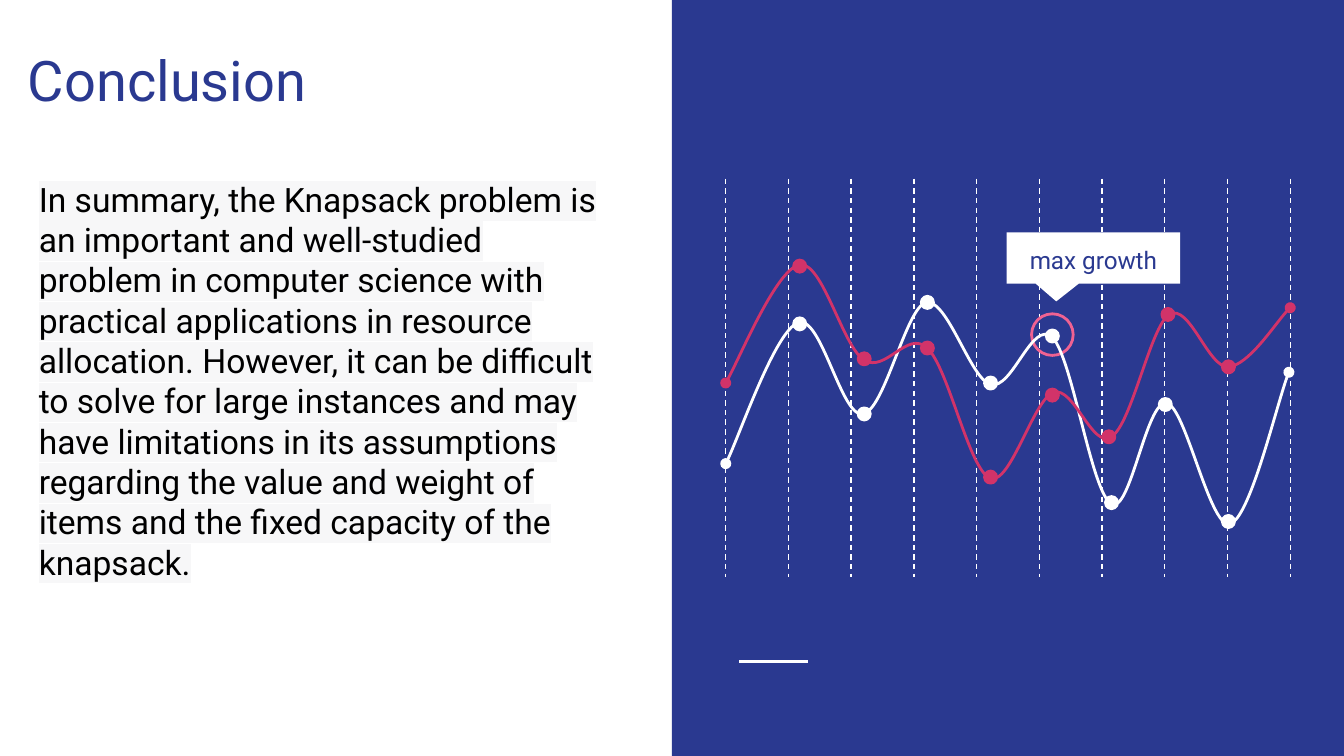
from lxml import etree
from pptx import Presentation
from pptx.dml.color import RGBColor
from pptx.enum import dml, shapes, text
from pptx.oxml import ns
from pptx.util import Inches, Pt

NAVY = RGBColor(0x2A, 0x39, 0x90)
WHITE = RGBColor(0xFF, 0xFF, 0xFF)
BLACK = RGBColor(0, 0, 0)
RED = RGBColor(0xD2, 0x33, 0x69)
PINK = RGBColor(0xF0, 0x62, 0x92)
FONT = "Roboto"
WIDE, HIGH = 10, 5.625

HEAD = "Conclusion"
BODY = ("In summary, the Knapsack problem is an important and well-studied "
        "problem in computer science with practical applications in resource "
        "allocation. However, it can be difficult to solve for large instances "
        "and may have limitations in its assumptions regarding the value and "
        "weight of items and the fixed capacity of the knapsack.")
LABEL = "max growth"

# Each curve: start, then two handles and an end per segment; dot centres
LOW = {
    "color": WHITE,
    "start": (5.4, 3.45),
    "curve": [
        (5.49, 3.28), (5.77, 2.46), (5.94, 2.4),
        (6.11, 2.34), (6.26, 3.11), (6.42, 3.08),
        (6.58, 3.06), (6.74, 2.29), (6.89, 2.25),
        (7.05, 2.22), (7.22, 2.82), (7.37, 2.86),
        (7.53, 2.91), (7.68, 2.37), (7.83, 2.51),
        (7.98, 2.66), (8.12, 3.67), (8.27, 3.75),
        (8.41, 3.83), (8.53, 2.97), (8.68, 3),
        (8.82, 3.02), (9, 3.93), (9.15, 3.9),
        (9.3, 3.86), (9.51, 2.96), (9.59, 2.77)],
    "dots": [(5.95, 2.41), (6.43, 3.08), (6.9, 2.25), (7.37, 2.85),
             (7.83, 2.5), (8.27, 3.74), (8.67, 3.01), (9.14, 3.88)],
}
HIGHER = {
    "color": RED,
    "start": (5.4, 2.85),
    "curve": [
        (5.49, 2.7), (5.78, 2), (5.95, 1.97),
        (6.12, 1.94), (6.27, 2.58), (6.43, 2.68),
        (6.59, 2.78), (6.75, 2.45), (6.9, 2.59),
        (7.06, 2.74), (7.21, 3.5), (7.37, 3.56),
        (7.52, 3.61), (7.69, 2.97), (7.84, 2.92),
        (7.99, 2.87), (8.13, 3.35), (8.27, 3.25),
        (8.42, 3.16), (8.56, 2.43), (8.7, 2.34),
        (8.85, 2.25), (8.99, 2.74), (9.14, 2.73),
        (9.29, 2.72), (9.52, 2.36), (9.6, 2.29)],
    "dots": [(5.95, 1.98), (6.43, 2.67), (6.9, 2.59), (7.37, 3.55),
             (7.83, 2.94), (8.25, 3.25), (8.69, 2.34), (9.14, 2.73)],
}

deck = Presentation()
deck.slide_width, deck.slide_height = Inches(WIDE), Inches(HIGH)
slide = deck.slides.add_slide(deck.slide_layouts[6])
parts = slide.shapes


def paint(shape, fill=None, line=None):
    shape.shadow.inherit = False
    if fill is None:
        shape.fill.background()
    else:
        shape.fill.solid()
        shape.fill.fore_color.rgb = fill
    if line is None:
        shape.line.fill.background()
    else:
        shape.line.color.rgb = line
        shape.line.width = Pt(1.5)


def add_form(kind, box, fill=None, line=None):
    shape = parts.add_shape(kind, *map(Inches, box))
    paint(shape, fill, line)
    return shape


def add_ring(mid, size, fill, line):
    x, y = mid
    box = (x - size / 2, y - size / 2, size, size)
    add_form(shapes.MSO_SHAPE.OVAL, box, fill, line)


def add_rule(x1, y1, x2, y2, width):
    rule = parts.add_connector(shapes.MSO_CONNECTOR.STRAIGHT,
                               *map(Inches, (x1, y1, x2, y2)))
    rule.line.color.rgb = WHITE
    rule.line.width = Pt(width)
    etree.SubElement(rule._element.spPr, ns.qn("a:effectLst"))
    return rule


def add_curve(start, points, color):
    pen = parts.build_freeform(*map(Inches, start))
    pen.add_line_segments([tuple(map(Inches, p)) for p in points], close=False)
    shape = pen.convert_to_shape()
    paint(shape, None, color)
    # Every three straight steps become one cubic segment
    steps = list(shape._element.iter(ns.qn("a:lnTo")))
    for i in range(0, len(steps), 3):
        cubic = etree.Element(ns.qn("a:cubicBezTo"))
        steps[i].addprevious(cubic)
        for step in steps[i:i + 3]:
            cubic.append(step[0])
            step.getparent().remove(step)
    for end in ("a:headEnd", "a:tailEnd"):
        etree.SubElement(shape.line._ln, ns.qn(end), type="oval")


def add_text(words, box, size, color, anchor=text.MSO_ANCHOR.TOP):
    shape = parts.add_textbox(*map(Inches, box))
    frame = shape.text_frame
    frame.word_wrap = True
    frame.vertical_anchor = anchor
    frame.margin_left = frame.margin_right = Inches(0.1)
    frame.margin_top = frame.margin_bottom = Inches(0.1)
    frame.text = words
    font = frame.paragraphs[0].runs[0].font
    font.name, font.size, font.color.rgb = FONT, Pt(size), color
    return frame


# Right half and its short rule
add_form(shapes.MSO_SHAPE.RECTANGLE, (WIDE / 2, 0, WIDE / 2, HIGH), NAVY)
add_rule(5.5, 4.92, 6.01, 4.92, 1.5)

# Dashed grid
LINES, LEFT, RIGHT = 10, 5.4, 9.6
for n in range(LINES):
    x = LEFT + n * (RIGHT - LEFT) / (LINES - 1)
    rule = add_rule(x, 1.33, x, 4.29, 0.75)
    rule.line.dash_style = dml.MSO_LINE.DASH

# Ring around the peak
add_ring((7.83, 2.49), 0.31, None, PINK)

# Summary with a pale highlight, and heading
frame = add_text(BODY, (0.19, 1.12, 4.42, 3.6), 18, BLACK,
                 text.MSO_ANCHOR.BOTTOM)
frame.margin_bottom = Inches(0.39)
props = frame.paragraphs[0].runs[0].font._element
mark = etree.Element(ns.qn("a:highlight"))
etree.SubElement(mark, ns.qn("a:srgbClr"), val="F7F7F8")
props.find(ns.qn("a:solidFill")).addnext(mark)
add_text(HEAD, (0.11, 0.24, 4.42, 1.39), 30, NAVY)


def add_series(series):
    color = series["color"]
    add_curve(series["start"], series["curve"], color)
    for mid in series["dots"]:
        add_ring(mid, 0.09, color, color)


# Curves, with the callout between them
add_series(LOW)
note = add_form(shapes.MSO_SHAPE.ROUNDED_RECTANGULAR_CALLOUT,
                (7.49, 1.73, 1.29, 0.38), WHITE)
for n, share in enumerate((-0.214, 0.85, 0)):
    note.adjustments[n] = share
add_series(HIGHER)

# Callout label
frame = add_text(LABEL, (7.49, 1.76, 1.29, 0.31), 13, NAVY,
                 text.MSO_ANCHOR.MIDDLE)
frame.paragraphs[0].alignment = text.PP_ALIGN.CENTER
frame.paragraphs[0].line_spacing = 1.15

deck.save("out.pptx")
